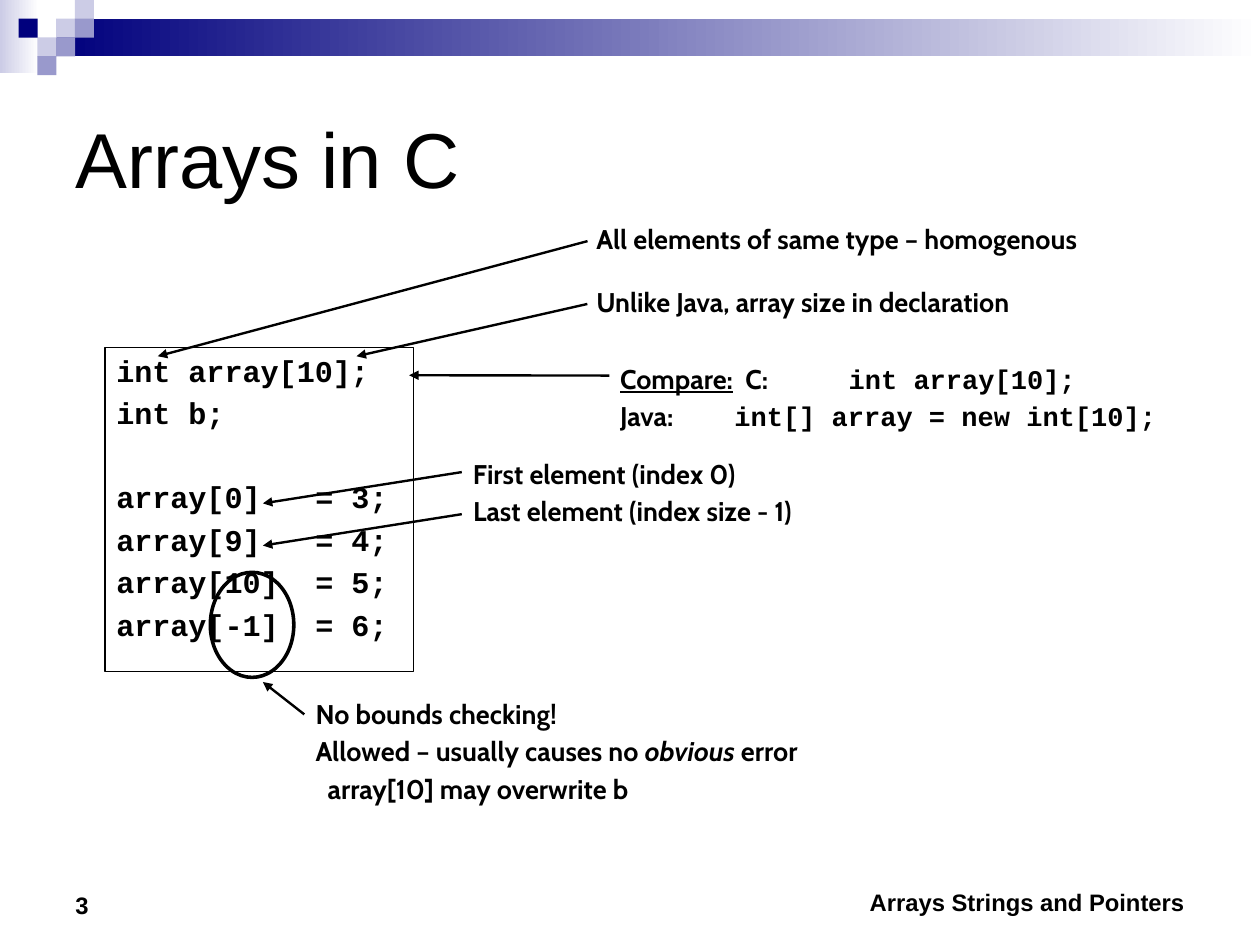
from dataclasses import dataclass

from lxml import etree
from pptx import Presentation
from pptx.dml.color import RGBColor
from pptx.enum.shapes import MSO_CONNECTOR, MSO_SHAPE
from pptx.enum.text import MSO_ANCHOR, PP_ALIGN
from pptx.oxml.ns import qn
from pptx.util import Pt

RECT, OVAL = MSO_SHAPE.RECTANGLE, MSO_SHAPE.OVAL
STRAIGHT = MSO_CONNECTOR.STRAIGHT
TOP, MIDDLE, BOTTOM = MSO_ANCHOR.TOP, MSO_ANCHOR.MIDDLE, MSO_ANCHOR.BOTTOM
LEFT, RIGHT = PP_ALIGN.LEFT, PP_ALIGN.RIGHT


@dataclass(frozen=True)
class Theme:
    ink: str = "000000"
    navy: str = "00007D"
    violet: str = "9999CC"
    pale: str = "CCCCE6"
    white: str = "FFFFFF"
    heading: str = "Arial"
    body: str = "Cabin"
    code: str = "Courier New"
    title_size: float = 49
    code_size: float = 19
    note_size: float = 17
    footer_size: float = 15


THEME = Theme()


@dataclass(frozen=True)
class Box:
    left: float
    top: float
    width: float
    height: float

    def inner(self, dx, dy, width, height):
        return Box(self.left + dx, self.top + dy, width, height)

    def point(self, dx, dy):
        return Pt(self.left + dx), Pt(self.top + dy)

    def lengths(self):
        return [Pt(v) for v in (self.left, self.top, self.width, self.height)]


def rgb(colour):
    return RGBColor.from_string(colour)


# Text helpers
def set_frame(frame, anchor=TOP, side=7.2, edge=3.6):
    frame.word_wrap = True
    frame.vertical_anchor = anchor
    frame.margin_left = frame.margin_right = Pt(side)
    frame.margin_top = frame.margin_bottom = Pt(edge)


def add_run(paragraph, text, font, size, bold=True, italic=False, underline=False):
    run = paragraph.add_run()
    run.text = text
    run.font.name, run.font.size = font, Pt(size)
    run.font.bold, run.font.italic, run.font.underline = bold, italic, underline
    run.font.color.rgb = rgb(THEME.ink)


def next_paragraph(frame, index, before, tabs=()):
    paragraph = frame.add_paragraph() if index else frame.paragraphs[0]
    paragraph.alignment = LEFT
    paragraph.space_before = Pt(before if index else 0)
    if tabs:
        stops = etree.SubElement(paragraph._p.get_or_add_pPr(), qn("a:tabLst"))
        for stop in tabs:
            etree.SubElement(stops, qn("a:tab"), pos=str(Pt(stop)), algn="l")
    return paragraph


# Shape helpers
def add_plain_shape(slide, kind, box, fill=None, line_width=None):
    shape = slide.shapes.add_shape(kind, *box.lengths())
    shape.shadow.inherit = False
    if fill:
        shape.fill.solid()
        shape.fill.fore_color.rgb = rgb(fill)
    else:
        shape.fill.background()
    if line_width:
        shape.line.color.rgb = rgb(THEME.ink)
        shape.line.width = Pt(line_width)
    else:
        shape.line.fill.background()
    return shape


def add_fade(slide, box, start):
    fill = add_plain_shape(slide, RECT, box).fill
    fill.gradient()
    fill.gradient_angle = 0
    for stop, colour in zip(fill.gradient_stops, (start, THEME.white)):
        stop.color.rgb = rgb(colour)


def add_arrow(slide, start, end):
    arrow = slide.shapes.add_connector(STRAIGHT, *start, *end)
    arrow.line.color.rgb = rgb(THEME.ink)
    arrow.line.width = Pt(1.5)
    etree.SubElement(arrow.line._get_or_add_ln(), qn("a:tailEnd"), type="triangle")
    etree.SubElement(arrow._element.spPr, qn("a:effectLst"))


# Header band with its checkered corner
def add_header(slide, box):
    cell = 11.8
    add_fade(slide, box.inner(0, 0, 24.5, 46), THEME.pale)
    add_fade(slide, box.inner(36, cell, box.width - 36, 23.8), THEME.navy)
    squares = [(3, 1, THEME.pale), (4, 0, THEME.pale), (4, 1, THEME.violet),
               (2, 2, THEME.pale), (1, 1, THEME.navy), (3, 2, THEME.violet),
               (2, 3, THEME.violet)]
    for column, row, colour in squares:
        add_plain_shape(slide, RECT, box.inner(column * cell, row * cell, 12, 12), colour)


def add_title(slide, box, text):
    title = slide.shapes.title
    title.left, title.top, title.width, title.height = box.lengths()
    set_frame(title.text_frame, MIDDLE, 7.9, 4)
    paragraph = next_paragraph(title.text_frame, 0, 0)
    add_run(paragraph, text, THEME.heading, THEME.title_size, bold=False)


# Code panel: statements aligned at the equals sign, bad indexes circled
def add_code_panel(slide, box):
    frame = add_plain_shape(slide, RECT, box, line_width=0.75).text_frame
    set_frame(frame, edge=3)
    gap, block_gap = 3.9, 30.4
    statements = [("int array[10];", gap), ("int b;", gap),
                  ("array[0]\t= 3;", block_gap), ("array[9]\t= 4;", gap),
                  ("array[10]\t= 5;", gap), ("array[-1]\t= 6;", gap)]
    for index, (statement, before) in enumerate(statements):
        paragraph = next_paragraph(frame, index, before, tabs=(125.4,))
        add_run(paragraph, statement, THEME.code, THEME.code_size)
    add_plain_shape(slide, OVAL, box.inner(66.3, 141.8, 52.6, 66.2), line_width=2.25)


# Callout: a note whose arrow points into the code panel
def add_callout(slide, box, lines, arrow_start, target):
    add_arrow(slide, box.point(*arrow_start), target)
    frame = slide.shapes.add_textbox(*box.lengths()).text_frame
    set_frame(frame)
    for index, (runs, indent, tabs) in enumerate(lines):
        paragraph = next_paragraph(frame, index, 3.4, tabs)
        if indent:
            paragraph._p.get_or_add_pPr().set("marL", str(Pt(indent)))
        for text, font, style in runs:
            add_run(paragraph, text, font, THEME.note_size, **style)


def note_line(text, indent=0):
    return [(text, THEME.body, {})], indent, ()


def add_callouts(slide, code_box):
    allowed = [("Allowed – usually causes no ", THEME.body, {}),
               ("obvious", THEME.body, {"italic": True}),
               (" error", THEME.body, {})]
    c_form = [("Compare:", THEME.body, {"underline": True}),
              ("\tC:", THEME.body, {}), ("\tint array[10];", THEME.code, {})]
    java_form = [("Java:", THEME.body, {}),
                 ("\tint[] array = new int[10];", THEME.code, {})]
    bounds = [note_line("No bounds checking!"), (allowed, 0, ()),
              note_line("array[10] may overwrite b", indent=7.6)]
    callouts = [
        (Box(368.6, 136.5, 382.3, 28.8),
         [note_line("All elements of same type – homogenous")], (1.5, 15.4), (33.2, 5.7)),
        (Box(368.5, 176.4, 342, 28.8),
         [note_line("Unlike Java, array size in declaration")], (1.5, 15.1), (158.4, 5.7)),
        (Box(383.5, 224.6, 366.5, 54),
         [(c_form, 0, (79, 144)), (java_form, 0, (72,))], (0.3, 12), (191.6, 17.7)),
        (Box(290.9, 284.4, 220.3, 28.8),
         [note_line("First element (index 0)")], (0, 13), (99.4, 98.4)),
        (Box(290.9, 307.9, 270, 28.8),
         [note_line("Last element (index size - 1)")], (0, 16), (99.4, 125)),
        (Box(191.7, 435.6, 389.5, 79.9), bounds, (0, 14.4), (99.4, 210.9)),
    ]
    for box, lines, arrow_start, target in callouts:
        add_callout(slide, box, lines, arrow_start, code_box.point(*target))


# Footer: page number on the left, lecture name on the right
def add_footer(slide, box):
    parts = [("3", box.inner(0, 0, 185, 41), LEFT),
             ("Arrays Strings and Pointers",
              box.inner(box.width - 227.5, 0, 227.5, 39.2), RIGHT)]
    for text, part_box, alignment in parts:
        frame = slide.shapes.add_textbox(*part_box.lengths()).text_frame
        set_frame(frame, BOTTOM, 7.9, 4)
        paragraph = next_paragraph(frame, 0, 0)
        paragraph.alignment = alignment
        add_run(paragraph, text, THEME.heading, THEME.footer_size)


def main():
    deck = Presentation()
    page = Box(0, 0, 793.7, 595.28)
    deck.slide_width, deck.slide_height = Pt(page.width), Pt(page.height)
    slide = deck.slides.add_slide(deck.slide_layouts.get_by_name("Title Only"))
    code_box = Box(66.2, 218.7, 194.4, 204.5)
    add_header(slide, page)
    add_title(slide, Box(39.6, 39.6, 714.2, 118.8), "Arrays in C")
    add_code_panel(slide, code_box)
    add_callouts(slide, code_box)
    add_footer(slide, Box(39.6, 542.2, 714.5, 41))
    deck.save("out.pptx")


if __name__ == "__main__":
    main()
